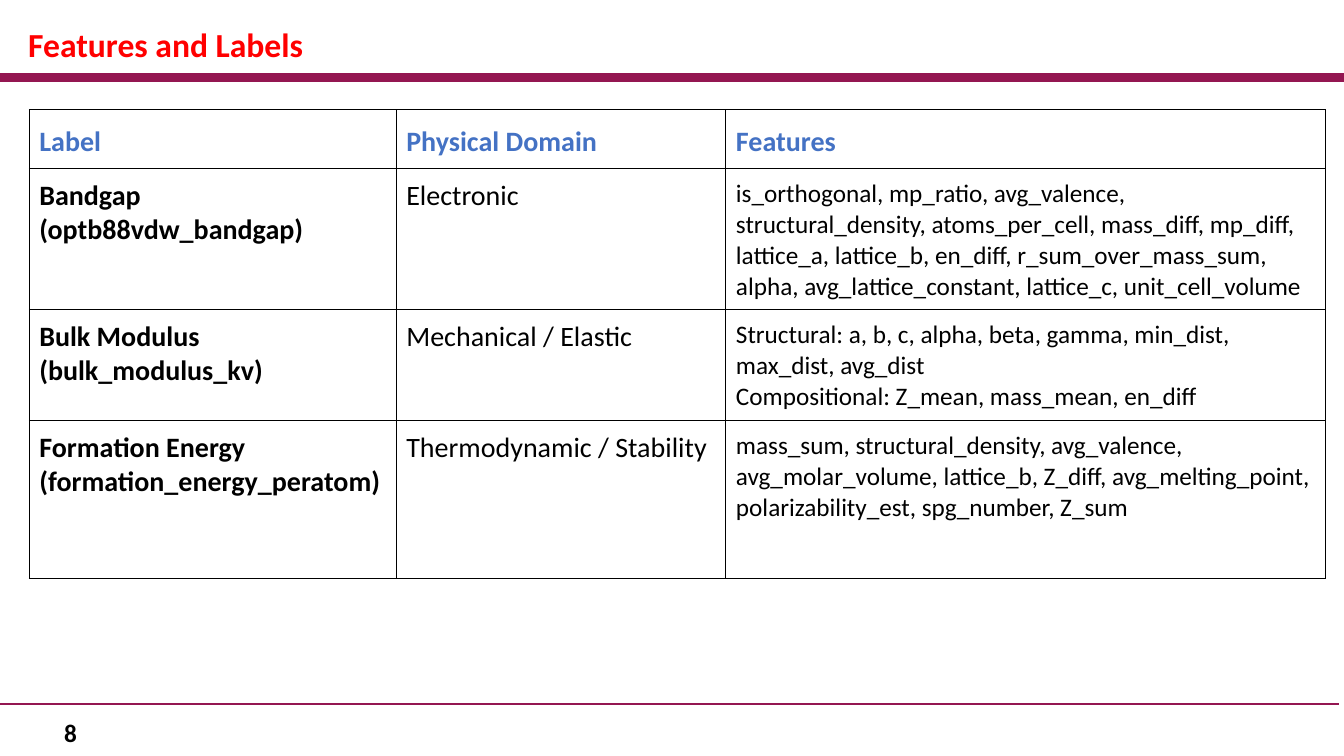
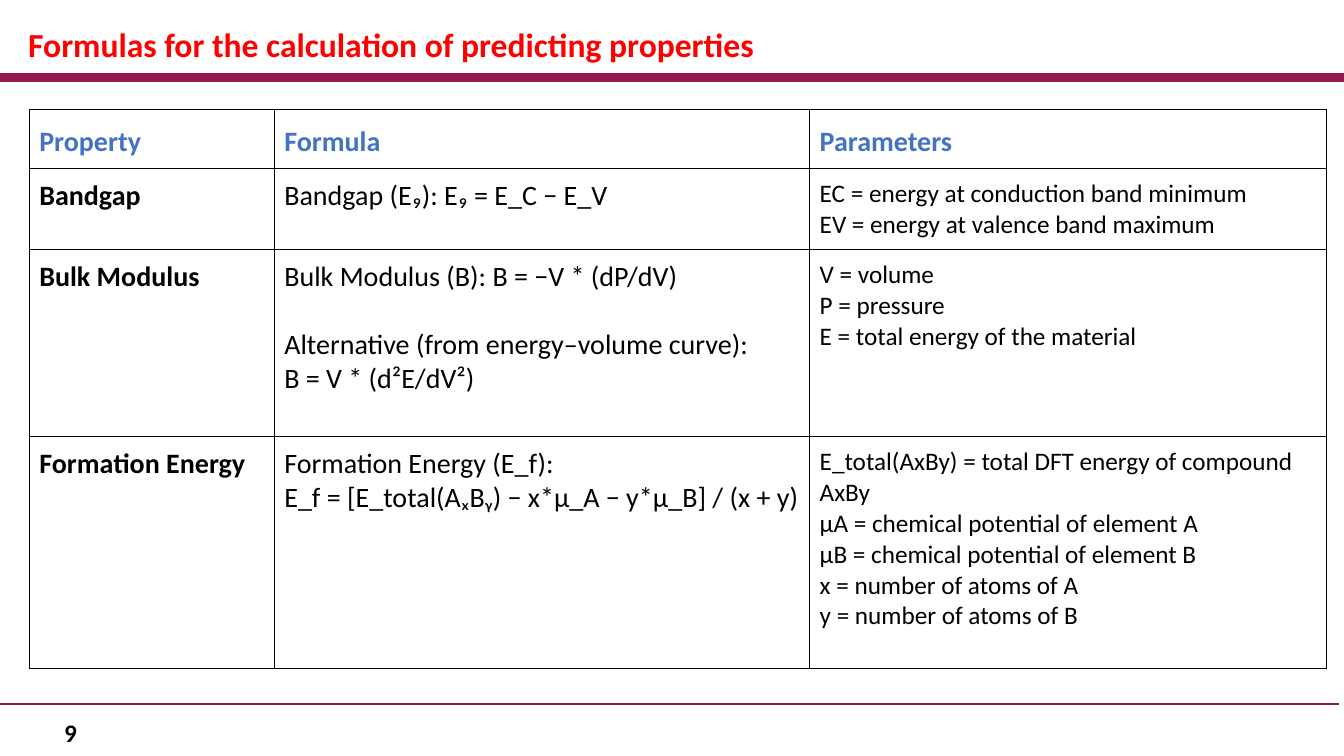
from dataclasses import dataclass

from lxml import etree
from pptx import Presentation
from pptx import util as u
from pptx.dml.color import RGBColor
from pptx.enum import shapes, text
from pptx.oxml import ns


@dataclass(frozen=True)
class Theme:
    font: str = "Calibri"
    title: RGBColor = RGBColor(0xFF, 0x00, 0x00)
    rule: RGBColor = RGBColor(0x94, 0x16, 0x51)
    header: RGBColor = RGBColor(0x44, 0x72, 0xC4)
    ink: RGBColor = RGBColor(0x00, 0x00, 0x00)
    title_size: int = 24
    table_size: int = 20
    detail_size: int = 18
    cell_inset: float = 0.1
    border: float = 0.75
    gap: int = 24


T = Theme()

FEATURES = [
    ["Label", "Physical Domain", "Features"],
    ["Bandgap (optb88vdw_bandgap)", "Electronic",
     "is_orthogonal, mp_ratio, avg_valence, structural_density, atoms_per_cell, "
     "mass_diff, mp_diff, lattice_a, lattice_b, en_diff, r_sum_over_mass_sum, "
     "alpha, avg_lattice_constant, lattice_c, unit_cell_volume"],
    ["Bulk Modulus (bulk_modulus_kv)", "Mechanical / Elastic",
     "Structural: a, b, c, alpha, beta, gamma, min_dist, max_dist, avg_dist\n"
     "Compositional: Z_mean, mass_mean, en_diff"],
    ["Formation Energy (formation_energy_peratom)", "Thermodynamic / Stability",
     "mass_sum, structural_density, avg_valence, avg_molar_volume, lattice_b, "
     "Z_diff, avg_melting_point, polarizability_est, spg_number, Z_sum"],
]

FORMULAS = [
    ["Property", "Formula", "Parameters"],
    ["Bandgap", "Bandgap (E₉): E₉ = E_C − E_V",
     "EC = energy at conduction band minimum\n"
     "EV = energy at valence band maximum"],
    ["Bulk Modulus",
     "Bulk Modulus (B): B = −V * (dP/dV)\n"
     "Alternative (from energy–volume curve):\n"
     "B = V * (d²E/dV²)",
     "V = volume\nP = pressure\nE = total energy of the material"],
    ["Formation Energy",
     "Formation Energy (E_f):\n"
     "E_f = [E_total(AₓBᵧ) − x*μ_A − y*μ_B] / (x + y)",
     "E_total(AxBy) = total DFT energy of compound AxBy\n"
     "μA = chemical potential of element A\n"
     "μB = chemical potential of element B\n"
     "x = number of atoms of A\n"
     "y = number of atoms of B"],
]


def add_run(p, words, size, color, bold=False):
    r = p.add_run()
    r.text = words
    r.font.name = T.font
    r.font.size = u.Pt(size)
    r.font.bold = bold
    r.font.color.rgb = color


def add_rule(s, y, right, weight):
    line = s.shapes.add_connector(
        shapes.MSO_CONNECTOR.STRAIGHT, 0, u.Inches(y), u.Inches(right), u.Inches(y))
    line.line.color.rgb = T.rule
    line.line.width = u.Pt(weight)
    etree.SubElement(line._element.spPr, ns.qn("a:effectLst"))


def set_title(s, words):
    sp = s.shapes.title
    sp.left, sp.top, sp.width, sp.height = map(u.Inches, (0.18, 0.19, 12.9, 0.5))
    tf = sp.text_frame
    tf.auto_size = text.MSO_AUTO_SIZE.NONE
    tf.vertical_anchor = text.MSO_ANCHOR.TOP
    p = tf.paragraphs[0]
    p.alignment = text.PP_ALIGN.LEFT
    add_run(p, words, T.title_size, T.title, bold=True)


def add_page_number(s, number):
    sp = s.shapes.add_textbox(*map(u.Inches, (0.18, 7.07, 0.68, 0.4)))
    tf = sp.text_frame
    tf.word_wrap = True
    tf.vertical_anchor = text.MSO_ANCHOR.MIDDLE
    p = tf.paragraphs[0]
    p.alignment = text.PP_ALIGN.RIGHT
    add_run(p, str(number), T.detail_size, T.ink, bold=True)


def set_borders(cell):
    tc_pr = cell._tc.get_or_add_tcPr()
    for i, side in enumerate(("lnL", "lnR", "lnT", "lnB")):
        ln = etree.Element(ns.qn(f"a:{side}"), w=str(u.Pt(T.border)))
        fill = etree.SubElement(ln, ns.qn("a:solidFill"))
        etree.SubElement(fill, ns.qn("a:srgbClr"), val=str(T.ink))
        tc_pr.insert(i, ln)


def fill_cell(cell, words, row, col):
    inset = u.Inches(T.cell_inset)
    cell.margin_left = cell.margin_right = inset
    cell.margin_top = cell.margin_bottom = inset
    cell.fill.background()
    set_borders(cell)
    is_header = row == 0
    size = T.detail_size if col == 2 and not is_header else T.table_size
    color = T.header if is_header else T.ink
    tf = cell.text_frame
    for i, line in enumerate(words.split("\n")):
        p = tf.paragraphs[0] if i == 0 else tf.add_paragraph()
        if is_header:
            p.line_spacing = 1.15
        if line.startswith("Alternative"):
            p.space_before = u.Pt(T.gap)
        add_run(p, line, size, color, bold=is_header or col == 0)


def add_grid(s, rows, widths, heights):
    frame = s.shapes.add_table(
        len(rows), len(widths), u.Inches(0.29), u.Inches(1.09),
        u.Inches(sum(widths)), u.Inches(sum(heights)))
    table = frame.table
    table.first_row = table.horz_banding = False
    for column, width in zip(table.columns, widths):
        column.width = u.Inches(width)
    for i, (words, height) in enumerate(zip(rows, heights)):
        table.rows[i].height = u.Inches(height)
        for j, entry in enumerate(words):
            fill_cell(table.cell(i, j), entry, i, j)


def add_table_slide(prs, number, title, rows, widths, heights):
    s = prs.slides.add_slide(prs.slide_layouts.get_by_name("Title Only"))
    add_rule(s, 0.77, 13.33, 6)
    add_rule(s, 6.98, 13.28, 1.5)
    add_page_number(s, number)
    set_title(s, title)
    add_grid(s, rows, widths, heights)


def main():
    prs = Presentation()
    prs.slide_width, prs.slide_height = u.Inches(13.33), u.Inches(7.5)
    add_table_slide(prs, 8, "Features and Labels", FEATURES,
                    (3.64, 3.27, 5.95), (0.58, 1.4, 1.1, 1.56))
    add_table_slide(prs, 9, "Formulas for the calculation of predicting properties",
                    FORMULAS, (2.43, 5.31, 5.13), (0.58, 0.8, 1.86, 2.3))
    prs.save("out.pptx")


if __name__ == "__main__":
    main()
